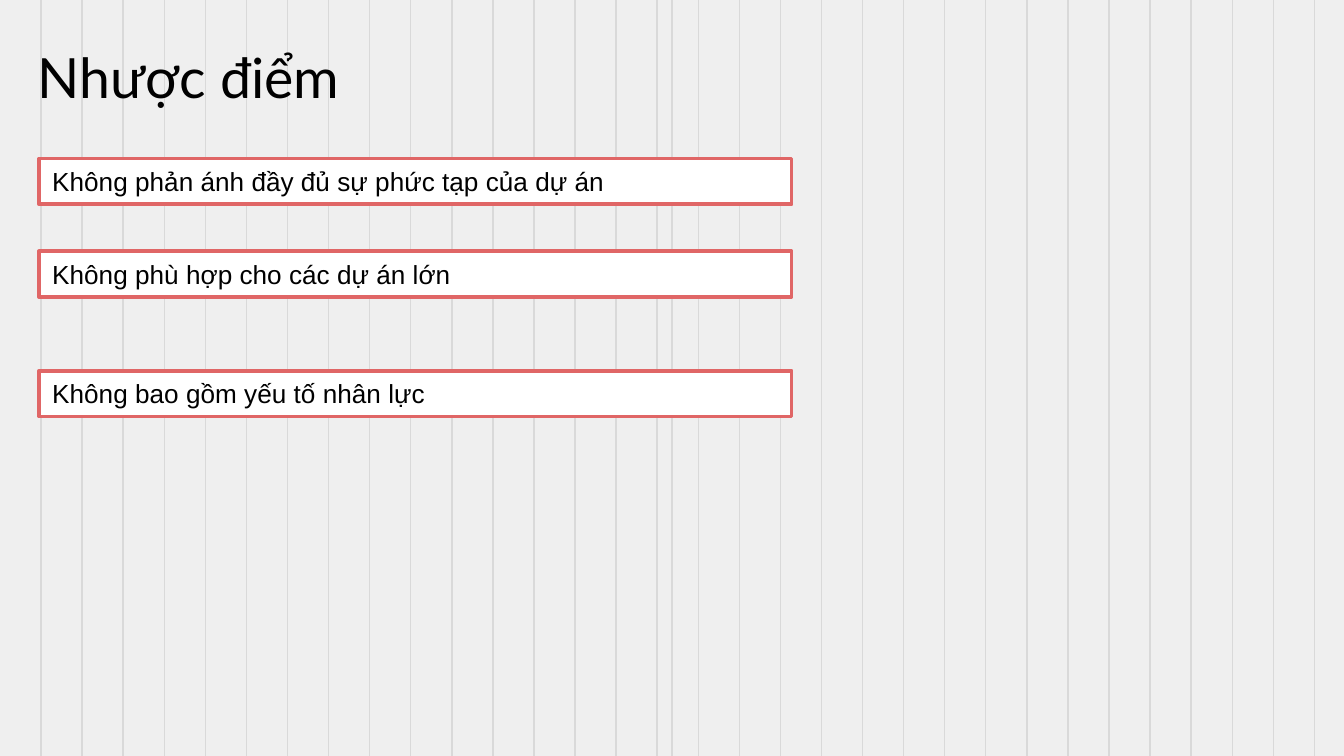
from dataclasses import dataclass

from lxml import etree
from pptx import Presentation
from pptx.dml.color import RGBColor
from pptx.enum.shapes import MSO_CONNECTOR, MSO_SHAPE
from pptx.enum.text import MSO_ANCHOR, MSO_AUTO_SIZE, PP_ALIGN
from pptx.oxml.ns import qn
from pptx.util import Inches, Pt


@dataclass(frozen=True)
class Theme:
    background: RGBColor = RGBColor.from_string("EFEFEF")
    grid: RGBColor = RGBColor.from_string("D9D9D9")
    box: RGBColor = RGBColor.from_string("FFFFFF")
    border: RGBColor = RGBColor.from_string("E06666")
    text: RGBColor = RGBColor.from_string("000000")
    title_font: str = "Lato"
    body_font: str = "Arial"
    title_size: Pt = Pt(29.7)
    body_size: Pt = Pt(14)


def format_text(frame, font_name, size):
    para = frame.paragraphs[0]
    para.alignment = PP_ALIGN.LEFT
    for span in para.runs:
        span.font.name = font_name
        span.font.size = size
        span.font.color.rgb = theme.text


theme = Theme()
deck = Presentation()
deck.slide_width = Inches(10)
deck.slide_height = Inches(10 * 9 / 16)
page = deck.slides.add_slide(deck.slide_layouts[5])
page.background.fill.solid()
page.background.fill.fore_color.rgb = theme.background

grid_count = 32
grid_step = 9.78 / grid_count
grid_positions = [grid_step * number for number in range(1, grid_count + 1)]
for position in grid_positions + [5]:
    line = page.shapes.add_connector(
        MSO_CONNECTOR.STRAIGHT,
        Inches(position), Inches(0), Inches(position), deck.slide_height,
    )
    line.line.color.rgb = theme.grid
    line.line.width = Pt(0.75)
    etree.SubElement(line._element.spPr, qn("a:effectLst"))

title = page.shapes.title
page.shapes._spTree.append(title._element)
title.left, title.top = Inches(0.18), Inches(0.22)
title.width, title.height = Inches(3.89), Inches(0.63)
title_frame = title.text_frame
title_frame.text = "Nhược điểm"
title_frame.word_wrap = True
title_frame.auto_size = MSO_AUTO_SIZE.NONE
title_frame.vertical_anchor = MSO_ANCHOR.TOP
title_frame.margin_left = title_frame.margin_right = Inches(0.1)
title_frame.margin_top = title_frame.margin_bottom = Inches(0.1)
format_text(title_frame, theme.title_font, theme.title_size)

drawbacks = [
    (1.18, "Không phản ánh đầy đủ sự phức tạp của dự án"),
    (1.87, "Không phù hợp cho các dự án lớn"),
    (2.76, "Không bao gồm yếu tố nhân lực"),
]
for top, wording in drawbacks:
    box = page.shapes.add_shape(
        MSO_SHAPE.RECTANGLE, Inches(0.29), Inches(top), Inches(5.6), Inches(0.34)
    )
    box.shadow.inherit = False
    box.fill.solid()
    box.fill.fore_color.rgb = theme.box
    box.line.color.rgb = theme.border
    box.line.width = Pt(2)
    box_frame = box.text_frame
    box_frame.text = wording
    box_frame.word_wrap = True
    box_frame.auto_size = MSO_AUTO_SIZE.SHAPE_TO_FIT_TEXT
    box_frame.vertical_anchor = MSO_ANCHOR.TOP
    format_text(box_frame, theme.body_font, theme.body_size)

deck.save("out.pptx")
